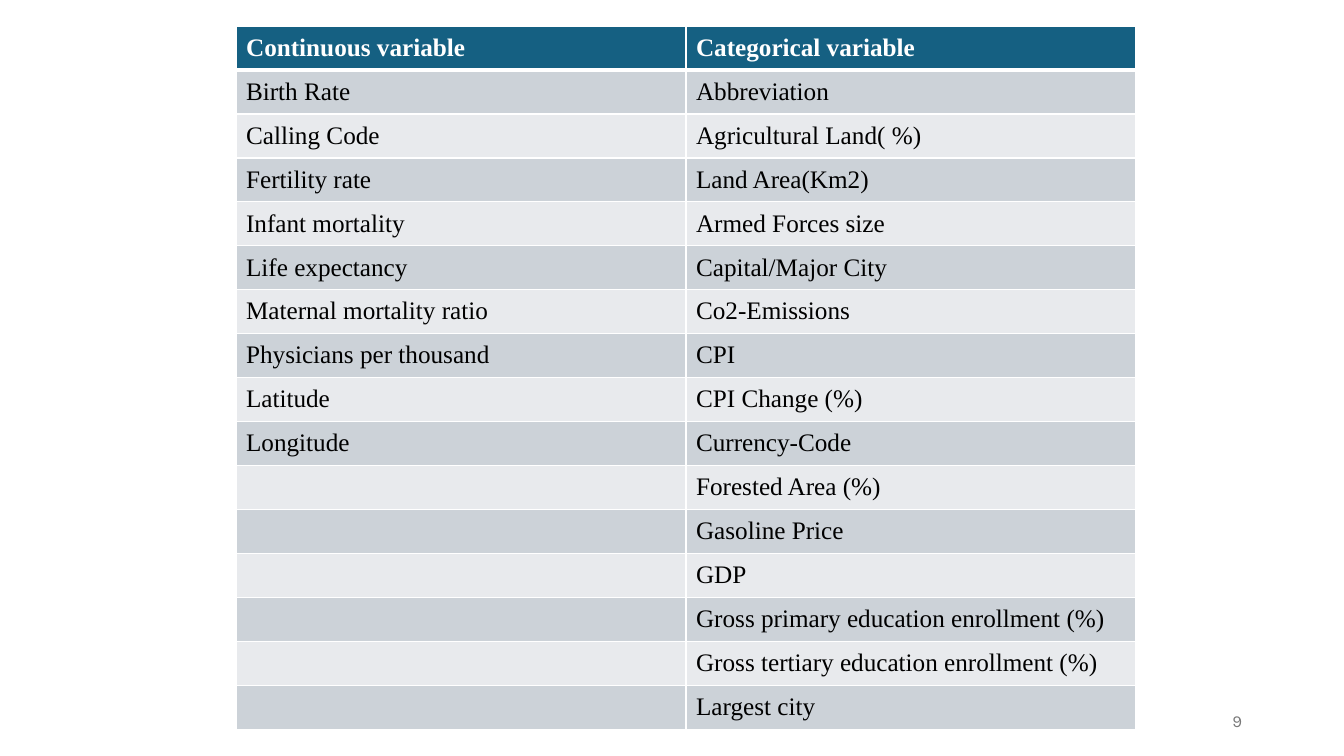
from itertools import zip_longest

from lxml.etree import SubElement
from pptx import Presentation
from pptx.dml.color import RGBColor
from pptx.enum.text import MSO_ANCHOR as Anchor, PP_ALIGN as Align
from pptx.oxml.ns import qn
from pptx.util import Emu, Pt

EMU_PER_PX = 914400 / 100.8

WHITE = RGBColor(0xFF, 0xFF, 0xFF)
BLACK = RGBColor(0x00, 0x00, 0x00)
GRAY = RGBColor(0x79, 0x79, 0x79)
HEADER_BLUE = RGBColor(0x15, 0x60, 0x82)
DARK_BAND = RGBColor(0xCC, 0xD2, 0xD8)
LIGHT_BAND = RGBColor(0xE8, 0xEA, 0xED)

TABLE_FONT = "Times New Roman"
NUMBER_FONT = "Karla"
ROW_HEIGHT = 44
COLUMN_WIDTH = 450

HEADERS = ("Continuous variable", "Categorical variable")
CONTINUOUS = [
    "Birth Rate", "Calling Code", "Fertility rate", "Infant mortality",
    "Life expectancy", "Maternal mortality ratio", "Physicians per thousand",
    "Latitude", "Longitude",
]
CATEGORICAL = [
    "Abbreviation", "Agricultural Land( %)", "Land Area(Km2)",
    "Armed Forces size", "Capital/Major City", "Co2-Emissions", "CPI",
    "CPI Change (%)", "Currency-Code", "Forested Area (%)", "Gasoline Price",
    "GDP", "Gross primary education enrollment (%)",
    "Gross tertiary education enrollment (%)", "Largest city",
]


def px(length):
    return Emu(round(length * EMU_PER_PX))


def format_font(font, name, size, color, bold=False):
    font.name = name
    font.size = Pt(size)
    font.color.rgb = color
    font.bold = bold


def set_borders(cell, top, bottom):
    properties = cell._tc.get_or_add_tcPr()
    for side, width in (("L", 1), ("R", 1), ("T", top), ("B", bottom)):
        line = SubElement(properties, qn(f"a:ln{side}"), w=str(Pt(width)))
        fill = SubElement(line, qn("a:solidFill"))
        SubElement(fill, qn("a:srgbClr"), val=str(WHITE))


def fill_cell(cell, text, row_index):
    is_header = row_index == 0
    set_borders(cell, 3 if row_index == 1 else 1, 3 if is_header else 1)
    cell.fill.solid()
    band = DARK_BAND if row_index % 2 else LIGHT_BAND
    cell.fill.fore_color.rgb = HEADER_BLUE if is_header else band
    cell.text_frame.text = text
    paragraph = cell.text_frame.paragraphs[0]
    paragraph.line_spacing = Pt(21.8)
    for run in paragraph.runs:
        color = WHITE if is_header else BLACK
        format_font(run.font, TABLE_FONT, 18, color, is_header)


def add_variable_table(slide, left, top):
    rows = [HEADERS, *zip_longest(CONTINUOUS, CATEGORICAL, fillvalue="")]
    table = slide.shapes.add_table(
        len(rows), len(HEADERS), px(left), px(top),
        px(COLUMN_WIDTH * len(HEADERS)), px(ROW_HEIGHT * len(rows)),
    ).table
    for column in table.columns:
        column.width = px(COLUMN_WIDTH)
    for row_index, texts in enumerate(rows):
        table.rows[row_index].height = px(ROW_HEIGHT)
        for column_index, text in enumerate(texts):
            fill_cell(table.cell(row_index, column_index), text, row_index)


def add_page_number(slide, text, left, top, width, height):
    box = slide.shapes.add_textbox(px(left), px(top), px(width), px(height))
    text_frame = box.text_frame
    text_frame.word_wrap = True
    text_frame.vertical_anchor = Anchor.MIDDLE
    text_frame.text = text
    paragraph = text_frame.paragraphs[0]
    paragraph.alignment = Align.RIGHT
    format_font(paragraph.runs[0].font, NUMBER_FONT, 12, GRAY)


def main():
    presentation = Presentation()
    presentation.slide_width = px(1344)
    presentation.slide_height = px(756)
    slide = presentation.slides.add_slide(presentation.slide_layouts[6])
    add_variable_table(slide, 236, 26)
    add_page_number(slide, "9", 950, 701, 302, 40)
    presentation.save("out.pptx")


if __name__ == "__main__":
    main()
